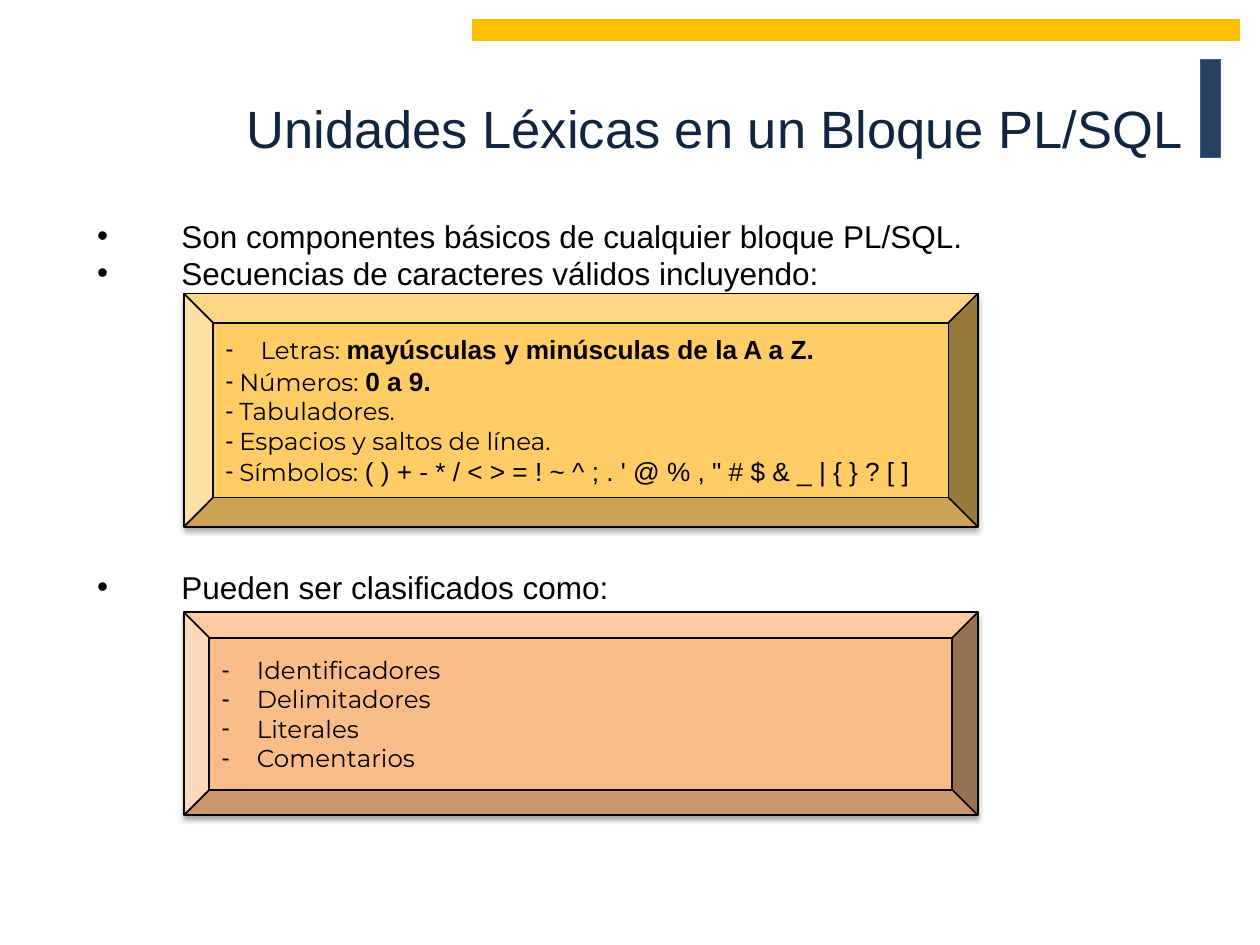
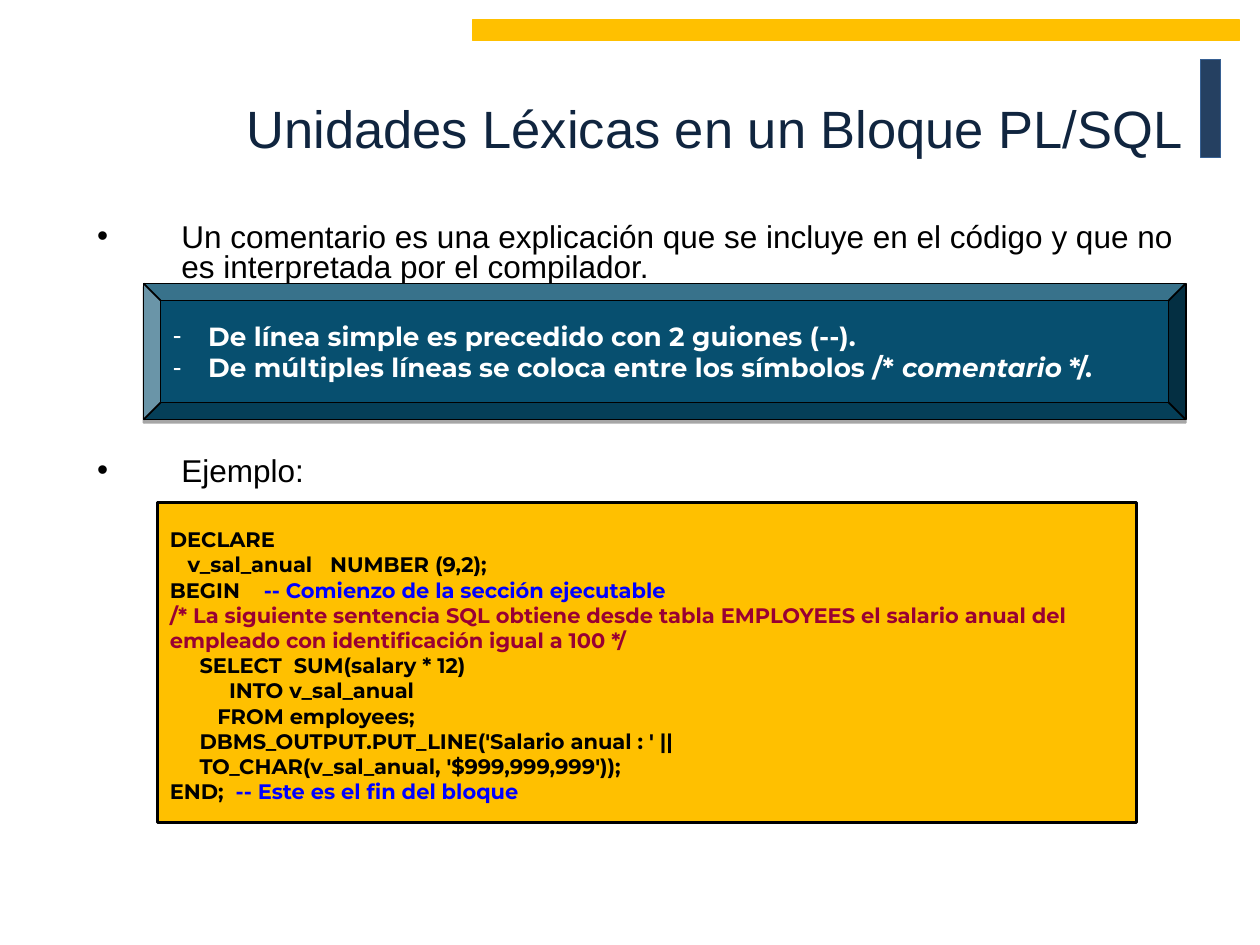
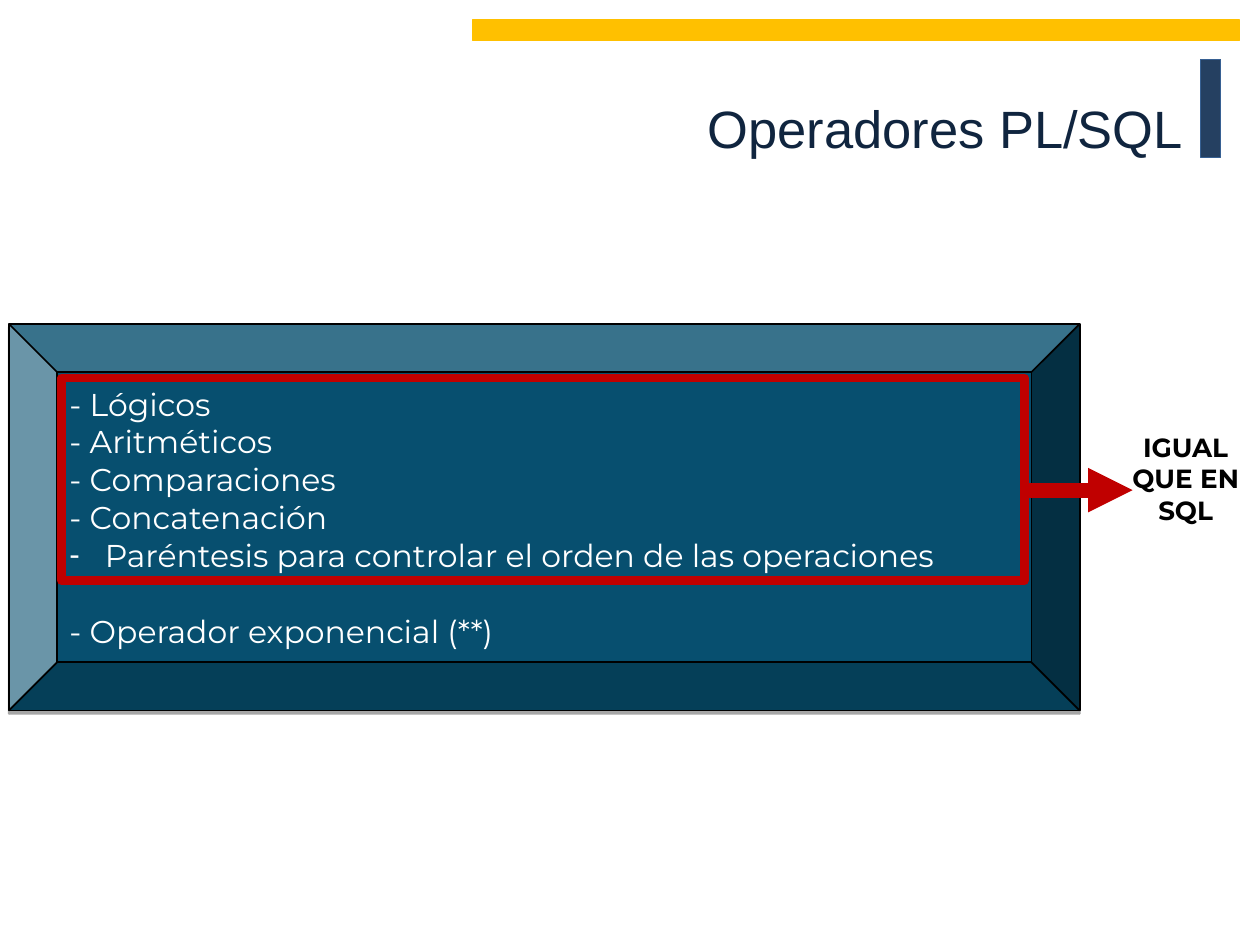
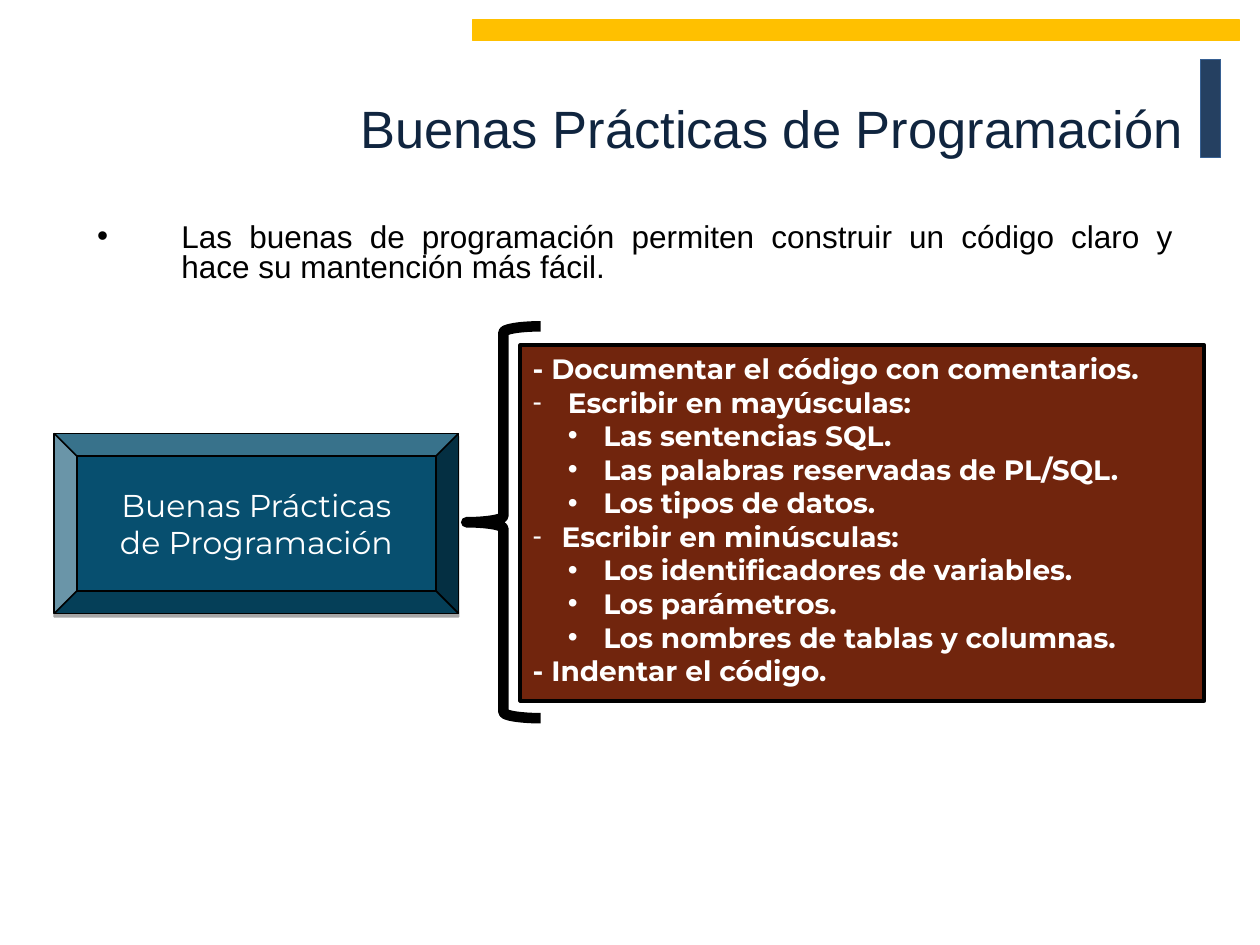
from dataclasses import dataclass, replace

from lxml import etree
from pptx import Presentation
from pptx import util as u
from pptx.dml.color import RGBColor
from pptx.enum import shapes, text
from pptx.oxml.ns import qn

COLORS = {
    "black": "000000", "white": "FFFFFF", "title": "10253F",
    "navy": "254061", "navy_edge": "376092", "amber": "FFC000",
    "sand": "FFCC66", "peach": "FABD8A", "petrol": "074F6F",
    "red": "C00000", "brown": "71250D", "blue": "0000FF", "wine": "990033",
}
SHAPE = shapes.MSO_SHAPE
ALIGN = text.PP_ALIGN
ANCHOR = text.MSO_ANCHOR
HANG = 0.28


@dataclass
class Style:
    size: float
    font: str = "Montserrat"
    color: str = "black"
    bold: bool = False
    italic: bool = False


@dataclass
class Line:
    runs: object
    bullet: str = ""
    margin: float = 0
    hang: float = 0
    before: float = 0


TITLE = Style(30, "Arial", "title")
BODY = Style(18, "Arial")
ITEM = Style(14)
CODE = Style(12, bold=True)
LIGHT = Style(18, color="white")


def rgb(name):
    return RGBColor.from_string(COLORS[name])


def dash(runs, hang=HANG):
    return Line(runs, "-", hang, hang)


def dot(runs):
    return Line(runs, "•", 0.56, HANG)


def topic(runs, before=0):
    return Line(runs, "•", 0.67, 0.67, before)


def set_bullet(paragraph, line):
    properties = paragraph._p.get_or_add_pPr()
    properties.set("marL", str(u.Inches(line.margin)))
    properties.set("indent", str(-u.Inches(line.hang)))
    etree.SubElement(properties, qn("a:buFont"), typeface="Arial")
    etree.SubElement(properties, qn("a:buChar"), char=line.bullet)


def add_run(paragraph, content, style):
    run = paragraph.add_run()
    run.text = content
    font = run.font
    font.name = style.font
    font.size = u.Pt(style.size)
    font.bold = style.bold
    font.italic = style.italic
    font.color.rgb = rgb(style.color)


def write(frame, lines, style, align=ALIGN.LEFT, anchor=ANCHOR.TOP, spacing=None):
    frame.word_wrap = True
    frame.auto_size = text.MSO_AUTO_SIZE.NONE
    frame.vertical_anchor = anchor
    for index, line in enumerate(lines):
        if isinstance(line, str):
            line = Line(line)
        paragraph = frame.add_paragraph() if index else frame.paragraphs[0]
        if line.bullet:
            set_bullet(paragraph, line)
        paragraph.alignment = align
        paragraph.space_before = u.Pt(line.before)
        if spacing:
            paragraph.line_spacing = spacing
        runs = [(line.runs, {})] if isinstance(line.runs, str) else line.runs
        for content, changes in runs:
            add_run(paragraph, content, replace(style, **changes))


def add_box(slide, kind, place, fill=None, line=None, width=1):
    shape = slide.shapes.add_shape(kind, *map(u.Inches, place))
    shape.shadow.inherit = False
    if fill:
        shape.fill.solid()
        shape.fill.fore_color.rgb = rgb(fill)
    else:
        shape.fill.background()
    if line:
        shape.line.color.rgb = rgb(line)
        shape.line.width = u.Pt(width)
    else:
        shape.line.fill.background()
    return shape


def add_bevel(slide, place, fill, lines, style, blur=0, align=ALIGN.LEFT):
    shape = add_box(slide, SHAPE.BEVEL, place, fill, "black")
    effects = shape.element.spPr.find(qn("a:effectLst"))
    shadow = etree.SubElement(
        effects, qn("a:outerShdw"), blurRad=str(u.Pt(blur)),
        dist=str(u.Pt(1.8)), dir="5400000", rotWithShape="0")
    color = etree.SubElement(shadow, qn("a:srgbClr"), val=COLORS["black"])
    etree.SubElement(color, qn("a:alpha"), val="35000")
    write(shape.text_frame, lines, style, align, ANCHOR.MIDDLE)


def add_arrow(slide, start, end, color, width):
    connector = slide.shapes.add_connector(
        shapes.MSO_CONNECTOR.STRAIGHT, *map(u.Inches, start + end))
    connector.line.color.rgb = rgb(color)
    connector.line.width = u.Pt(width)
    properties = connector.element.spPr
    etree.SubElement(properties.find(qn("a:ln")), qn("a:tailEnd"), type="triangle")
    etree.SubElement(properties, qn("a:effectLst"))


def move(shape, place):
    shape.left, shape.top, shape.width, shape.height = map(u.Inches, place)


def add_slide(presentation, title, topics=None):
    layout = presentation.slide_layouts[1 if topics else 5]
    slide = presentation.slides.add_slide(layout)
    move(slide.shapes.title, (0.97, 0.21, 8.52, 1.6))
    write(slide.shapes.title.text_frame, [title], TITLE, ALIGN.RIGHT, ANCHOR.MIDDLE)
    if topics:
        body = slide.placeholders[1]
        move(body, (0.67, 1.73, 8.74, 0.45))
        write(body.text_frame, topics, BODY, ALIGN.JUSTIFY, spacing=0.8)
    return slide


def move_bands_to_master(presentation, slide):
    bands = [
        add_box(slide, SHAPE.RECTANGLE, (9.53, 0.47, 0.16, 0.78), "navy", "navy_edge", 0.75),
        add_box(slide, SHAPE.RECTANGLE, (3.75, 0.16, 6.09, 0.16), "amber", "amber", 0.75),
    ]
    for position, band in enumerate(bands, 2):
        presentation.slide_master.shapes.element.insert(position, band.element)


def build_lexical_units(presentation):
    slide = add_slide(presentation, "Unidades Léxicas en un Bloque PL/SQL", [
        topic("Son componentes básicos de cualquier bloque PL/SQL."),
        topic("Secuencias de caracteres válidos incluyendo:", 4),
        topic("Pueden ser clasificados como:", 162),
    ])
    move_bands_to_master(presentation, slide)
    symbol = {"size": 15, "font": "Arial"}
    strong = {**symbol, "bold": True}
    narrow = 0.11
    add_bevel(slide, (1.46, 2.33, 6.3, 1.85), "sand", [
        dash([("Letras: ", {}), ("mayúsculas y minúsculas de la A a Z.", strong)]),
        dash([("Números: ", {}), ("0 a 9.", strong)], narrow),
        dash("Tabuladores.", narrow),
        dash("Espacios y saltos de línea.", narrow),
        dash([("Símbolos: ", {}),
              ("( ) + - * / < > = ! ~ ^ ; . ' @ % , \" # $ & _ | { } ? [ ]", symbol)], narrow),
    ], ITEM, 3.1)
    kinds = ["Identificadores", "Delimitadores", "Literales", "Comentarios"]
    add_bevel(slide, (1.46, 4.86, 6.3, 1.61), "peach", map(dash, kinds), ITEM, 3.1)


def build_comments(presentation):
    slide = add_slide(presentation, "Unidades Léxicas en un Bloque PL/SQL", [
        topic("Un comentario es una explicación que se incluye en el código "
              "y que no es interpretada por el compilador."),
        topic("Ejemplo:", 99),
    ])
    add_bevel(slide, (1.14, 2.25, 8.27, 1.08), "petrol", [
        dash("De línea simple es precedido con 2 guiones (--)."),
        dash([("De múltiples líneas se coloca entre los símbolos /* ", {}),
              ("comentario", {"italic": True}), (" */.", {})]),
    ], replace(LIGHT, size=15, bold=True))
    remark = {"color": "blue"}
    code = add_box(slide, SHAPE.RECTANGLE, (1.25, 3.99, 7.77, 2.54), "amber", "black", 1.75)
    code.text_frame.margin_top = u.Inches(0.19)
    write(code.text_frame, [
        "DECLARE",
        "   v_sal_anual   NUMBER (9,2);",
        Line([("BEGIN    ", {}), ("-- Comienzo de la sección ejecutable", remark)]),
        Line([("/* La siguiente sentencia SQL obtiene desde tabla EMPLOYEES el salario anual "
               "del empleado con identificación igual a 100 */", {"color": "wine"})]),
        "     SELECT  SUM(salary * 12)",
        "          INTO v_sal_anual",
        "        FROM employees;",
        "     DBMS_OUTPUT.PUT_LINE('Salario anual : ' ||",
        "     TO_CHAR(v_sal_anual, '$999,999,999'));",
        Line([("END;  ", {}), ("-- Este es el fin del bloque", remark)]),
    ], CODE)


def build_operators(presentation):
    slide = add_slide(presentation, "Operadores PL/SQL")
    note = add_box(slide, SHAPE.RECTANGLE, (8.84, 3.37, 1.14, 0.86), "white")
    write(note.text_frame, ["IGUAL", "QUE EN", "SQL"], Style(15, bold=True), ALIGN.CENTER)
    add_bevel(slide, (0.07, 2.57, 8.5, 3.07), "petrol", [
        "- Lógicos",
        "- Aritméticos",
        "- Comparaciones",
        "- Concatenación",
        dash("Paréntesis para controlar el orden de las operaciones"),
        Line("- Operador exponencial (**)", before=22),
    ], LIGHT)
    add_box(slide, SHAPE.RECTANGLE, (0.49, 3, 7.64, 1.61), line="red", width=5)
    add_arrow(slide, (8.12, 3.89), (8.99, 3.89), "red", 8.5)


def build_good_practices(presentation):
    slide = add_slide(presentation, "Buenas Prácticas de Programación", [
        topic("Las buenas de programación permiten construir un código claro "
              "y hace su mantención más fácil."),
    ])
    add_bevel(slide, (0.43, 3.44, 3.21, 1.43), "petrol",
              ["Buenas Prácticas", "de Programación"], LIGHT, align=ALIGN.CENTER)
    practices = add_box(slide, SHAPE.RECTANGLE, (4.13, 2.74, 5.43, 2.82), "brown", "black", 2.25)
    write(practices.text_frame, [
        "- Documentar el código con comentarios.",
        dash("Escribir en mayúsculas:"),
        dot("Las sentencias SQL."),
        dot("Las palabras reservadas de PL/SQL."),
        dot("Los tipos de datos."),
        dash("Escribir en minúsculas:", 0.23),
        dot("Los identificadores de variables."),
        dot("Los parámetros."),
        dot("Los nombres de tablas y columnas."),
        "- Indentar el código.",
    ], replace(LIGHT, size=16, bold=True))
    add_box(slide, SHAPE.LEFT_BRACE, (3.7, 2.59, 0.59, 3.11), line="black", width=6)


def main():
    presentation = Presentation()
    presentation.slide_width = u.Inches(10)
    presentation.slide_height = u.Inches(7.5)
    build_lexical_units(presentation)
    build_comments(presentation)
    build_operators(presentation)
    build_good_practices(presentation)
    presentation.save("out.pptx")


if __name__ == "__main__":
    main()
